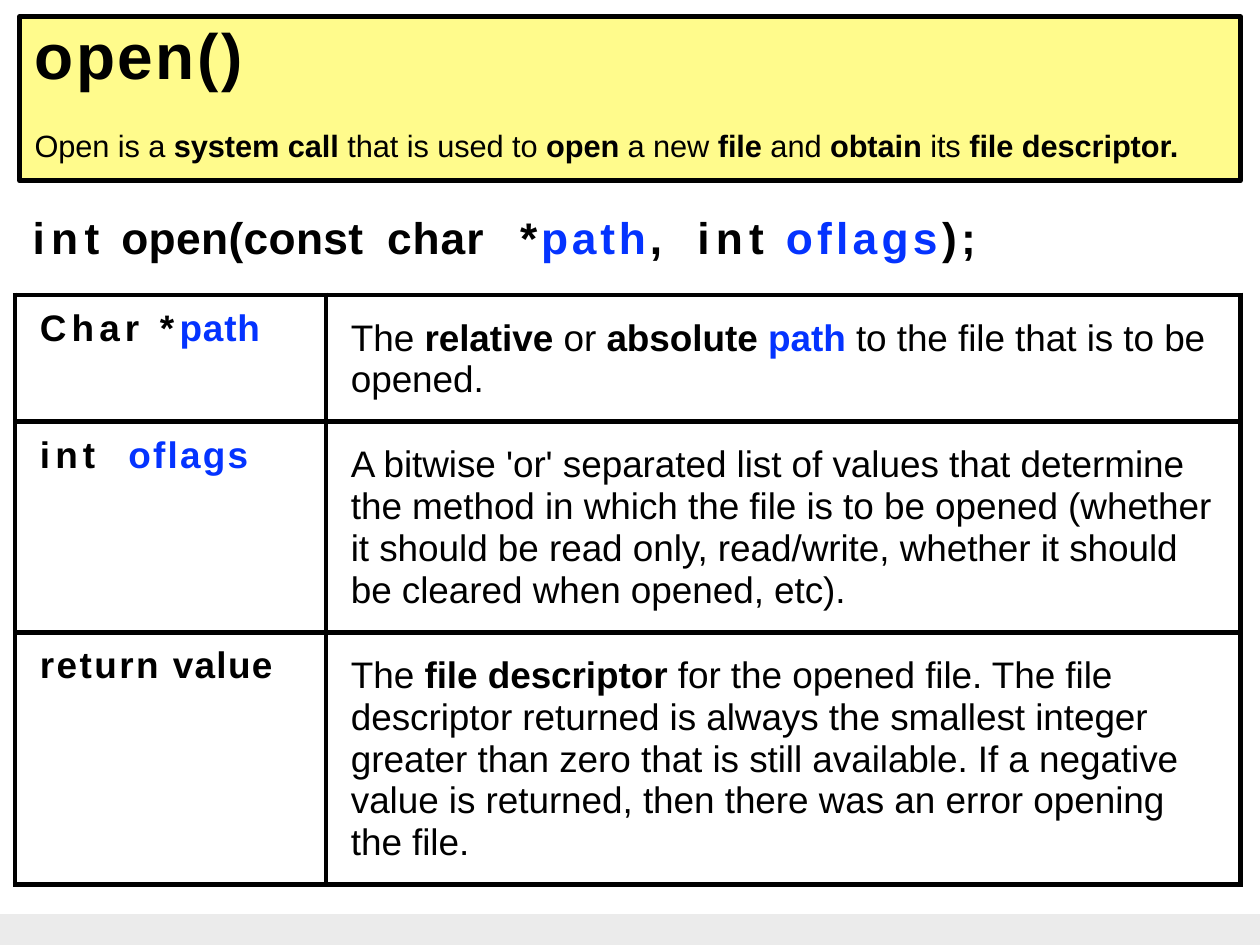
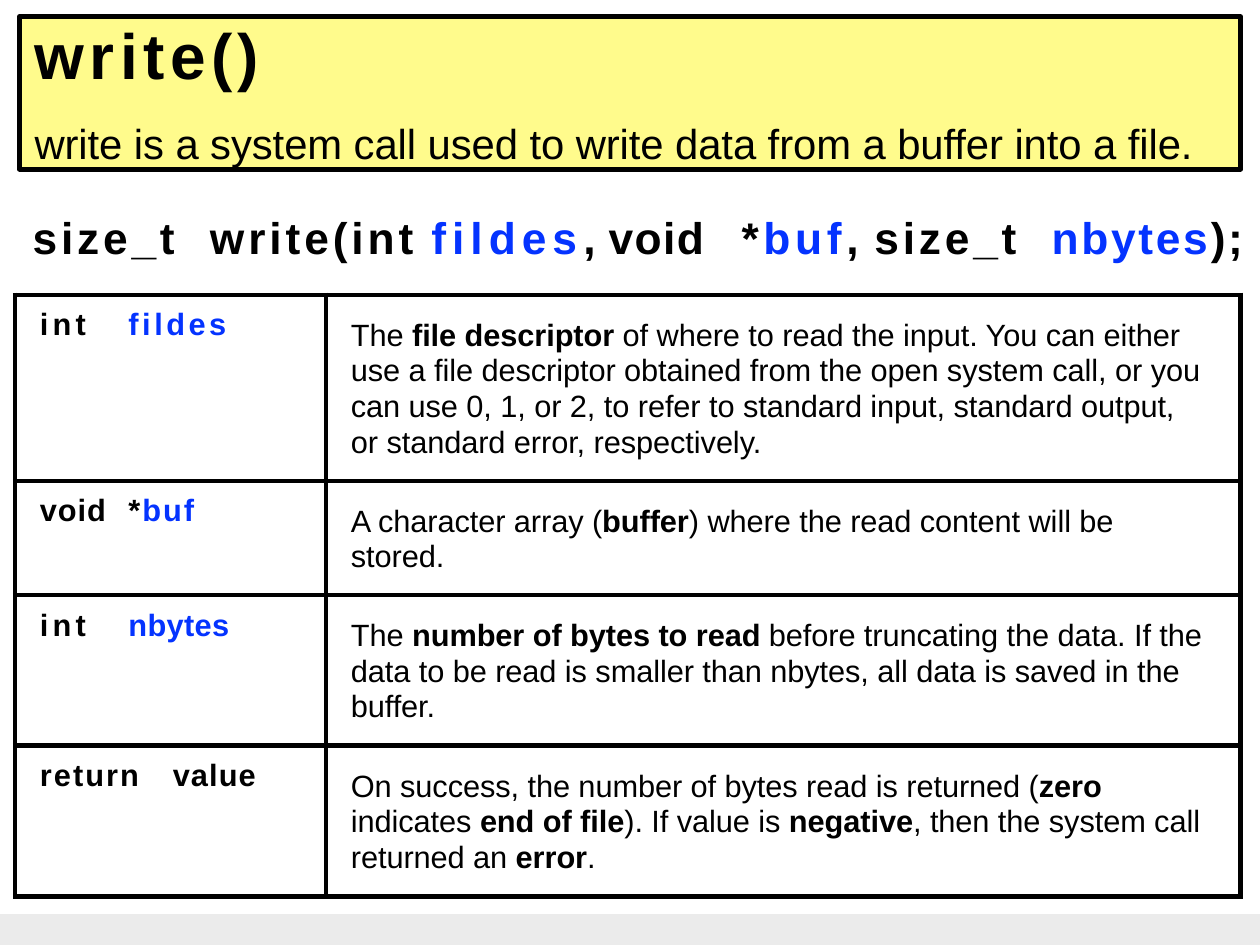
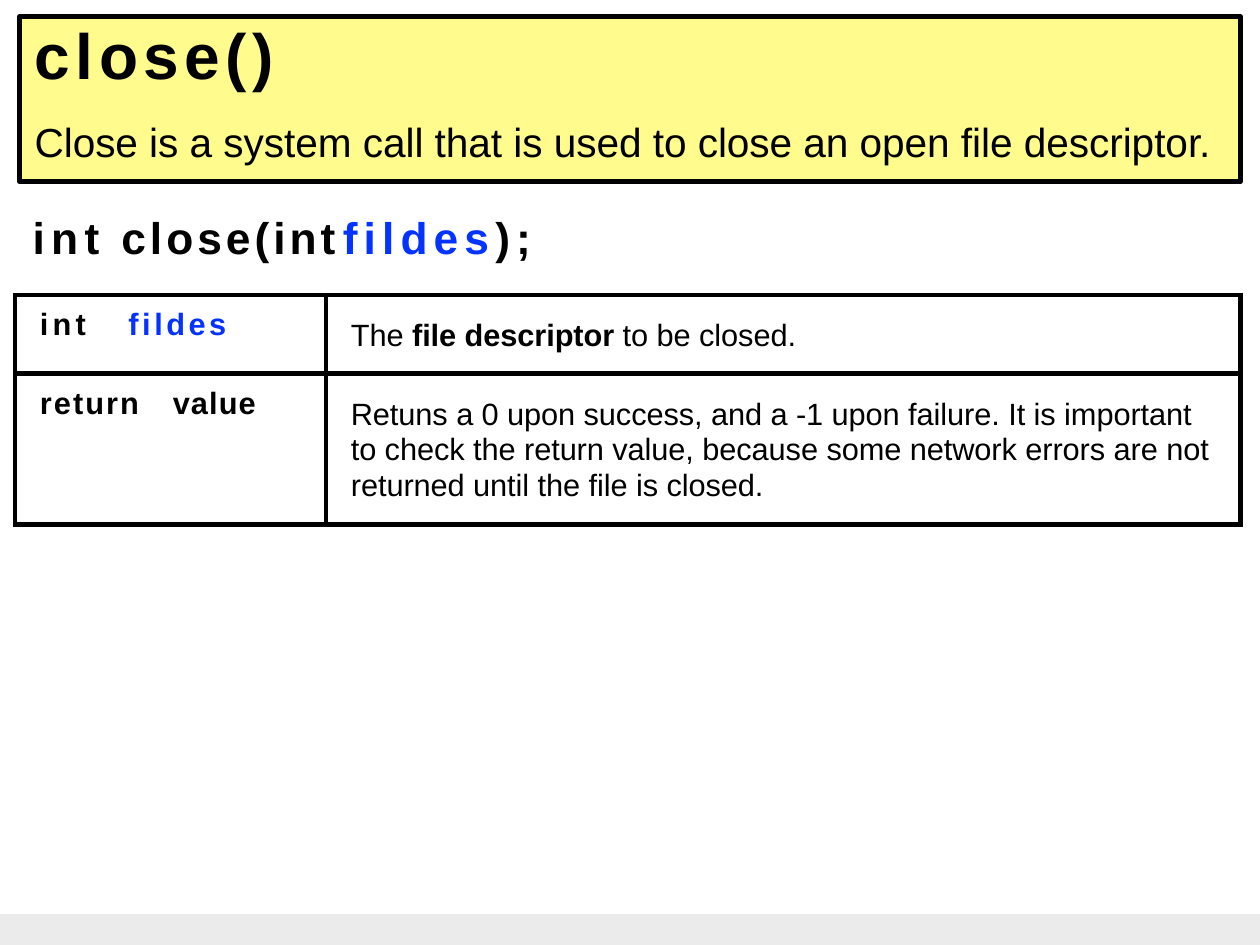
from lxml import etree
from pptx import Presentation, util as u
from pptx.dml.color import RGBColor
from pptx.enum import shapes, text
from pptx.oxml.ns import qn

BLACK = RGBColor(0x00, 0x00, 0x00)
BLUE = RGBColor(0x04, 0x33, 0xFF)
YELLOW = RGBColor(0xFF, 0xFB, 0x8C)
GREY = RGBColor(0xEB, 0xEB, 0xEB)
WHITE = RGBColor(0xFF, 0xFF, 0xFF)
FONT = "Arial"
WIDTH, HEIGHT = 14.22, 10.67
HEADER_LEFT, HEADER_TOP, HEADER_WIDTH = 0.22, 0.19, 13.78
BAND_HEIGHT = 0.35
COLUMNS = (3.51, 10.32)
TABLE_LEFT, TABLE_TOP = 0.17, 3.33
CODE_TOP, PROSE_TOP, CELL_INDENT = 0.15, 0.25, 0.28
BORDER = 4.25
PROSE_SPACING = -0.05

# fmt: off
CALLS = [
    dict(
        name="open()", name_spacing=2.1, header_height=1.85,
        summary="Open is a **system call** that is used to **open** a new **file** and "
                "**obtain** its **file descriptor.**",
        summary_size=25, summary_gap=28,
        signature=[("int\t", 5.1), ("open(const\t", 0.3), ("char\t", 0.8), ("*", 3.1),
                   ("path", 3.1, BLUE), (",\t", 3.1), ("int\t", 5.1),
                   ("oflags", 3.5, BLUE), (");", 3.5)],
        signature_tabs=(1.11, 4.14, 5.51, 7.44, 8.54),
        size=30, leading=34,
        rows=[
            (1.43, [("Char *", 4.2), ("path", 0.7, BLUE)], 1.19,
             "The **relative** or **absolute** ##path## to the file that is to be\vopened."),
            (2.38, [("int\t", 4.2), ("oflags", 1.8, BLUE)], 1.19,
             "A bitwise 'or' separated list of values that determine\v"
             "the method in which the file is to be opened (whether\v"
             "it should be read only, read/write, whether it should\v"
             "be cleared when opened, etc)."),
            (2.85, [("return\t", 2), ("value", 1.1)], 1.88,
             "The **file descriptor** for the opened file. The file\v"
             "descriptor returned is always the smallest integer\v"
             "greater than zero that is still available. If a negative\v"
             "value is returned, then there was an error opening\vthe file."),
        ],
    ),
    dict(
        name="write()", name_spacing=4.5, header_height=1.72,
        summary="write is a system call used to write data from a buffer into a file.",
        summary_size=34, summary_gap=20.6,
        signature=[("size_t\t", 3.1), ("write(int\t", 3.2), ("fildes", 4.9, BLUE),
                   (",\t", 4.9), ("void\t", 1.2), ("*", 3.8), ("buf", 3.8, BLUE),
                   (",\t", 3.8), ("size_t\t", 3.1), ("nbytes", 2.2, BLUE), (");", 2.2)],
        signature_tabs=(1.94, 4.41, 6.61, 7.99, 9.64, 11.56),
        size=25, leading=29,
        rows=[
            (2.1, [("int\t", 3.5), ("fildes", 2.9, BLUE)], 1.04,
             "The **file descriptor** of where to read the input. You can either\v"
             "use a file descriptor obtained from the open system call, or you\v"
             "can use 0, 1, or 2, to refer to standard input, standard output,\v"
             "or standard error, respectively."),
            (1.29, [("void\t", 0.8), ("*", 1.6), ("buf", 1.6, BLUE)], 1.23,
             "A character array (**buffer**) where the read content will be\vstored."),
            (1.7, [("int\t", 3.5), ("nbytes", 0.3, BLUE)], 1.04,
             "The **number of bytes to read** before truncating the data. If the\v"
             "data to be read is smaller than nbytes, all data is saved in the\vbuffer."),
            (1.7, [("return\t", 1.7), ("value", 0.9)], 1.61,
             "On success, the number of bytes read is returned (**zero**\v"
             "indicates **end of file**). If value is **negative**, then the system call\v"
             "returned an **error**."),
        ],
    ),
    dict(
        name="close()", name_spacing=4.6, header_height=1.86,
        summary="Close is a system call that is used to close an open file descriptor.",
        summary_size=33, summary_gap=20.6,
        signature=[("int\t", 5.1), ("close(int\t", 3.3), ("fildes", 5, BLUE), (");", 5)],
        signature_tabs=(1.11, 3.86),
        size=25, leading=29,
        rows=[
            (0.89, [("int\t", 3.5), ("fildes", 2.9, BLUE)], 1.04,
             "The **file descriptor** to be closed."),
            (1.7, [("return\t", 1.7), ("value", 0.9)], 1.61,
             "Retuns a 0 upon success, and a -1 upon failure. It is important\v"
             "to check the return value, because some network errors are not\v"
             "returned until the file is closed."),
        ],
    ),
]
# fmt: on


def assign(target, **values):
    for key, value in values.items():
        setattr(target, key, value)


def inset(holder, top=0):
    assign(holder, margin_left=0, margin_right=0, margin_bottom=0,
           margin_top=u.Inches(top))


def write(paragraph, words, size, spacing, bold=True, color=BLACK):
    run = paragraph.add_run()
    run.text = words
    assign(run.font, name=FONT, size=u.Pt(size), bold=bold)
    run.font.color.rgb = color
    run.font._element.set("spc", str(round(spacing * 100)))


def write_code(paragraph, parts, size):
    for words, spacing, *color in parts:
        write(paragraph, words, size, spacing, color=color[0] if color else BLACK)


def write_prose(paragraph, prose, size):
    for number, line in enumerate(prose.split("\v")):
        if number:
            paragraph.add_line_break()
        for place, chunk in enumerate(line.split("**")):
            for inner, words in enumerate(chunk.split("##")):
                if words:
                    write(paragraph, words, size, PROSE_SPACING,
                          bold=bool(place % 2 or inner % 2),
                          color=BLUE if inner % 2 else BLACK)


def layout_paragraph(paragraph, indent, tabs=(), **spacing):
    assign(paragraph, alignment=text.PP_ALIGN.LEFT, **spacing)
    properties = paragraph._p.get_or_add_pPr()
    properties.set("marL", str(u.Inches(indent)))
    properties.set("indent", "0")
    if tabs:
        stops = etree.SubElement(properties, qn("a:tabLst"))
        for tab in tabs:
            etree.SubElement(stops, qn("a:tab"), pos=str(u.Inches(tab)), algn="l")


def border(cell):
    properties = cell._tc.get_or_add_tcPr()
    for side in ("a:lnL", "a:lnR", "a:lnT", "a:lnB"):
        edge = etree.SubElement(properties, qn(side), w=str(u.Pt(BORDER)))
        paint = etree.SubElement(edge, qn("a:solidFill"))
        etree.SubElement(paint, qn("a:srgbClr"), val=str(BLACK))


def add_header(slide, call):
    header = slide.shapes.title
    assign(header, left=u.Inches(HEADER_LEFT), top=u.Inches(HEADER_TOP),
           width=u.Inches(HEADER_WIDTH), height=u.Inches(call["header_height"]))
    header.fill.solid()
    header.fill.fore_color.rgb = YELLOW
    header.line.color.rgb = BLACK
    header.line.width = u.Pt(4)
    frame = header.text_frame
    inset(frame)
    assign(frame, word_wrap=True, auto_size=text.MSO_AUTO_SIZE.NONE,
           vertical_anchor=text.MSO_ANCHOR.TOP)
    name, summary = frame.paragraphs[0], frame.add_paragraph()
    layout_paragraph(name, 0.17, line_spacing=u.Pt(61))
    write(name, call["name"], 52, call["name_spacing"])
    layout_paragraph(summary, 0.17, space_before=u.Pt(call["summary_gap"]))
    write_prose(summary, call["summary"], call["summary_size"])


def add_signature(slide, call):
    signature = slide.shapes.add_textbox(*map(u.Inches, (0.36, 2.36, 13.8, 0.63)))
    frame = signature.text_frame
    inset(frame, 0.01)
    frame.word_wrap = True
    layout_paragraph(frame.paragraphs[0], 0.01, call["signature_tabs"],
                     space_before=u.Pt(1))
    write_code(frame.paragraphs[0], call["signature"], 36)


def add_arguments(slide, call):
    rows = call["rows"]
    arguments = slide.shapes.add_table(
        len(rows), len(COLUMNS),
        *map(u.Inches, (TABLE_LEFT, TABLE_TOP, sum(COLUMNS), sum(row[0] for row in rows))),
    ).table
    assign(arguments, first_row=False, horz_banding=False)
    for column, width in zip(arguments.columns, COLUMNS):
        column.width = u.Inches(width)
    for row, (height, code, tab, prose) in zip(arguments.rows, rows):
        row.height = u.Inches(height)
        argument, meaning = row.cells
        for cell, top in ((argument, CODE_TOP), (meaning, PROSE_TOP)):
            inset(cell, top)
            border(cell)
            cell.fill.solid()
            cell.fill.fore_color.rgb = WHITE
        code_line = argument.text_frame.paragraphs[0]
        layout_paragraph(code_line, CELL_INDENT, (tab,))
        write_code(code_line, code, call["size"])
        prose_block = meaning.text_frame.paragraphs[0]
        layout_paragraph(prose_block, CELL_INDENT, line_spacing=u.Pt(call["leading"]))
        write_prose(prose_block, prose, call["size"])


def share_band(slide, layout):
    band = slide.shapes.add_shape(
        shapes.MSO_SHAPE.RECTANGLE,
        *map(u.Inches, (0, HEIGHT - BAND_HEIGHT, WIDTH, BAND_HEIGHT)))
    band.shadow.inherit = False
    band.fill.solid()
    band.fill.fore_color.rgb = GREY
    band.line.fill.background()
    layout.shapes.element.append(band.element)


deck = Presentation()
assign(deck, slide_width=u.Inches(WIDTH), slide_height=u.Inches(HEIGHT))
title_only = deck.slide_layouts[5]
for call in CALLS:
    slide = deck.slides.add_slide(title_only)
    add_header(slide, call)
    add_signature(slide, call)
    add_arguments(slide, call)
share_band(deck.slides[0], title_only)
deck.save("out.pptx")
